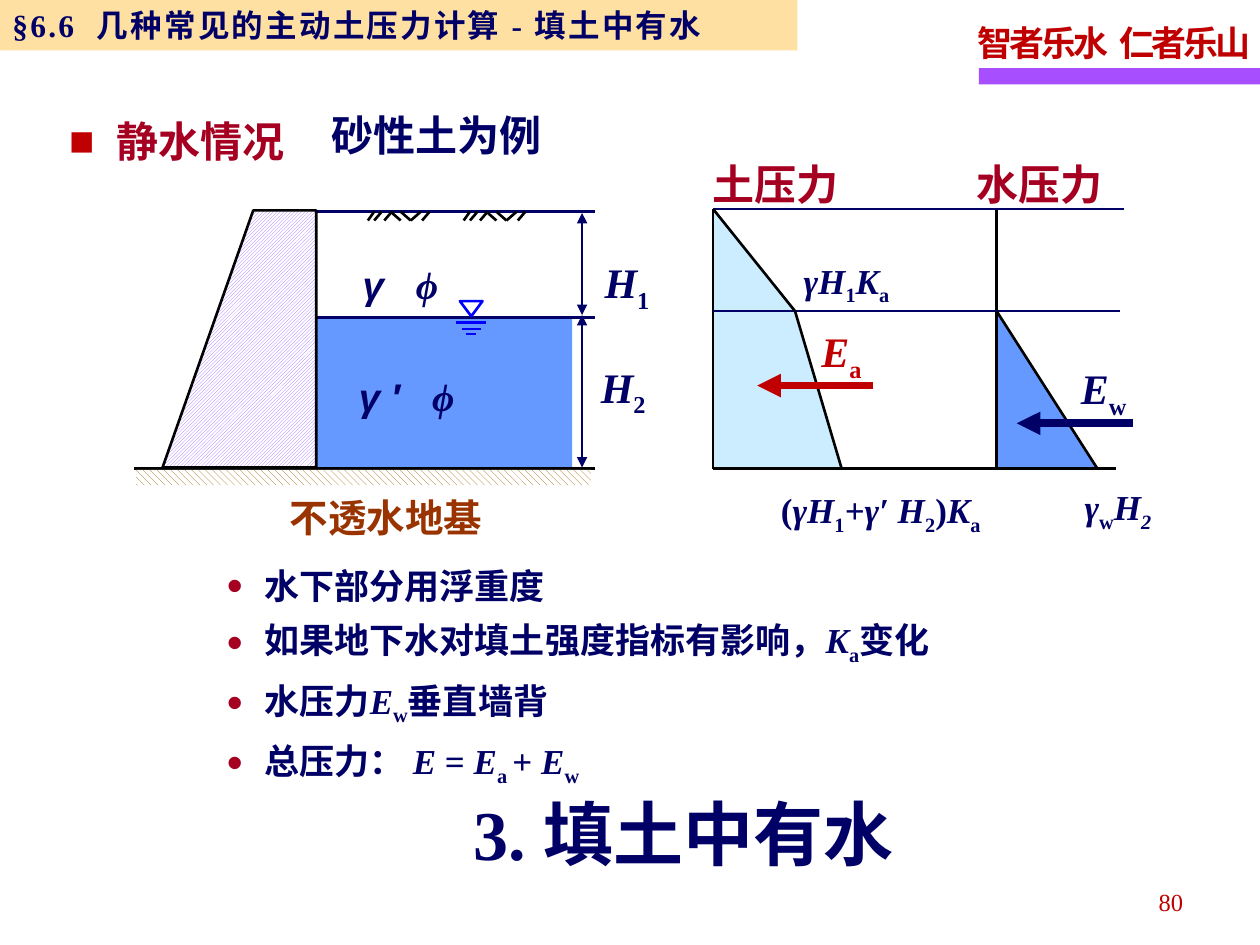
from lxml.etree import SubElement
from pptx import Presentation
from pptx.dml.color import RGBColor
from pptx.enum.dml import MSO_PATTERN as Pattern
from pptx.enum.shapes import MSO_CONNECTOR as Connector, MSO_SHAPE as Shape
from pptx.enum.text import MSO_ANCHOR as Anchor, MSO_AUTO_SIZE as AutoSize, PP_ALIGN as Align
from pptx.oxml.ns import qn
from pptx.util import Inches, Pt

NAVY = RGBColor(0x00, 0x00, 0x66)
CRIMSON = RGBColor(0xA5, 0x00, 0x21)
RED = RGBColor(0xC0, 0x00, 0x00)
BROWN = RGBColor(0x99, 0x33, 0x00)
OCHRE = RGBColor(0x99, 0x66, 0x00)
GOLD = RGBColor(0xFF, 0xCC, 0x66)
PURPLE = RGBColor(0xA7, 0x4F, 0xFF)
VIOLET = RGBColor(0x99, 0x66, 0xFF)
WATER = RGBColor(0x66, 0x99, 0xFF)
PALE = RGBColor(0xCC, 0xEC, 0xFF)
BLUE = RGBColor(0x00, 0x00, 0xFF)
BLACK = RGBColor(0x00, 0x00, 0x00)
WHITE = RGBColor(0xFF, 0xFF, 0xFF)

SERIF, HEI, SANS = "Times New Roman", "Noto Sans CJK SC", "Arial"
COLUMNS = 100


def write(frame, text, *, size=20, color=NAVY, font=SERIF, bold=True, align=Align.LEFT,
          leading=1.15, after=0, spacing=0, gap=0, bullet=None, hang=0,
          bullet_color=CRIMSON, bullet_size=100):
    """Lines become paragraphs, "|" parts runs.

    Prefixes: / italic, _ subscript, ~ serif, ^ letter spacing of gap points.
    """
    for index, line in enumerate(text.split("\n")):
        paragraph = frame.paragraphs[0] if index == 0 else frame.add_paragraph()
        props = paragraph._p.get_or_add_pPr()
        props.set("marL", str(Inches(hang)))
        props.set("indent", str(-Inches(hang)))
        if bullet:
            tint = SubElement(props, qn("a:buClr"))
            SubElement(tint, qn("a:srgbClr"), val=str(bullet_color))
            SubElement(props, qn("a:buSzPct"), val=str(bullet_size * 1000))
            SubElement(props, qn("a:buFont"), typeface=SANS)
            SubElement(props, qn("a:buChar"), char=bullet)
        else:
            SubElement(props, qn("a:buNone"))
        paragraph.alignment = align
        paragraph.line_spacing = leading
        paragraph.space_before, paragraph.space_after = Pt(0), Pt(after)
        for part in line.split("|"):
            words = part.lstrip("/_~^")
            marks = part[:len(part) - len(words)]
            run = paragraph.add_run()
            run.text = words
            run.font.size, run.font.bold, run.font.italic = Pt(size), bold, "/" in marks
            run.font.color.rgb = color
            run.font.name = SERIF if "~" in marks else font
            run_props = run._r.get_or_add_rPr()
            SubElement(run_props, qn("a:ea"), typeface=HEI)
            tracking = gap if "^" in marks else spacing
            if tracking:
                run_props.set("spc", str(round(tracking * 100)))
            if "_" in marks:
                run_props.set("baseline", "-25000")


class Board:
    """Current slide and its grid of 100 columns by 75 rows."""

    def __init__(self, deck):
        self.slide = deck.slides.add_slide(deck.slide_layouts[1])
        self.shapes = self.slide.shapes
        self.cell = deck.slide_width / COLUMNS

    def units(self, *cells):
        return [round(value * self.cell) for value in cells]

    def style(self, shape, fill=None, pattern=None, line=None, width=1.5):
        shape.shadow.inherit = False
        if pattern:
            shape.fill.patterned()
            shape.fill.pattern = pattern
            shape.fill.fore_color.rgb, shape.fill.back_color.rgb = fill, WHITE
        elif fill is not None:
            shape.fill.solid()
            shape.fill.fore_color.rgb = fill
        else:
            shape.fill.background()
        if line is not None:
            shape.line.color.rgb, shape.line.width = line, Pt(width)
        else:
            shape.line.fill.background()
        return shape

    def block(self, box, kind=Shape.RECTANGLE, **style):
        return self.style(self.shapes.add_shape(kind, *self.units(*box)), **style)

    def outline(self, points, close=True, **style):
        corners = [self.units(*point) for point in points]
        builder = self.shapes.build_freeform(*corners[0])
        builder.add_line_segments(corners[1:], close=close)
        return self.style(builder.convert_to_shape(), **style)

    def line(self, start, end, color=BLACK, width=1.5, head=False, tail=False):
        link = self.shapes.add_connector(Connector.STRAIGHT, *self.units(*start, *end))
        link.line.color.rgb, link.line.width = color, Pt(width)
        for tag, wanted in (("a:headEnd", head), ("a:tailEnd", tail)):
            if wanted:
                SubElement(link.line._get_or_add_ln(), qn(tag), type="triangle")
        SubElement(link._element.spPr, qn("a:effectLst"))

    def label(self, box, text, wrap=True, inset=True, **fmt):
        frame = self.shapes.add_textbox(*self.units(*box)).text_frame
        self.fit(frame, wrap, inset)
        write(frame, text, **fmt)

    def placeholder(self, index, box, text, anchor, inset=True, **fmt):
        holder = self.slide.placeholders[index]
        holder.left, holder.top, holder.width, holder.height = self.units(*box)
        self.fit(holder.text_frame, True, inset)
        holder.text_frame.vertical_anchor = anchor
        write(holder.text_frame, text, **fmt)

    def fit(self, frame, wrap, inset):
        frame.word_wrap, frame.auto_size = wrap, AutoSize.NONE
        if not inset:
            frame.margin_left = frame.margin_right = frame.margin_top = frame.margin_bottom = 0


def draw_header(board):
    board.block((77.7, 5.4, 22.3, 1.3), fill=PURPLE)
    board.label((76.6, 0.7, 23.4, 4.9), "智者乐水|^ |仁者乐山", wrap=False, color=RED,
                spacing=-1.7, gap=1.6)
    bar = board.block((0, 0, 63.3, 4), fill=GOLD)
    tint = bar.fill._xPr.find(qn("a:solidFill"))[0]
    SubElement(tint, qn("a:alpha"), val="60000")
    bar.text_frame.vertical_anchor = Anchor.MIDDLE
    write(bar.text_frame, "§6.6|^ |几种常见的主动土压力计算 - 填土中有水", size=18,
          leading=1, spacing=1.3, gap=7.1)
    board.label((71.6, 69.6, 23.3, 4), "80", size=14, color=RED, bold=False, align=Align.RIGHT)


def draw_text(board):
    board.placeholder(0, (18.9, 62.2, 70.7, 7.7), "3. 填土中有水", Anchor.MIDDLE,
                      size=40, leading=1, align=Align.CENTER)
    points = ("水下部分用浮重度\n"
              "如果地下水对填土强度指标有影响，|/K|_a|变化\n"
              "水压力|/E|_w|垂直墙背\n"
              "总压力： |/E |= |/E|_a |+ |/E|_w")
    board.placeholder(1, (18, 44.3, 70.4, 17), points, Anchor.TOP, inset=False,
                      after=3, bullet="•", bullet_size=130, hang=0.3)
    board.label((4.5, 6.7, 30.3, 6.9), "静水情况", size=24, font=HEI, color=CRIMSON,
                leading=1.5, bullet="■", bullet_color=RED, hang=0.38)
    board.label((25.3, 7.4, 20, 5.2), "砂性土为例", size=24, font=HEI, leading=1.2)


def draw_wall(board):
    top, table, base, right = 16.8, 25.2, 37.2, 47.2
    board.block((24.9, table, 20.5, base - table), fill=WATER)
    board.line((10.6, base), (right, base))
    for level in (top, table):
        board.line((24.9, level), (right, level), NAVY)
    board.outline([(12.9, 37.1), (25.1, 37.1), (25.1, 16.7), (20.1, 16.7)],
                  fill=VIOLET, pattern=Pattern.DARK_UPWARD_DIAGONAL, line=BLACK)
    board.block((10.8, 37.3, 36.1, 1.2), fill=OCHRE, pattern=Pattern.WIDE_DOWNWARD_DIAGONAL)

    # Ground strokes as (upper x, lower x) from the left of each group
    strokes = [(0.5, 0), (1.1, 0.5), (1.9, 1.3), (1.8, 2.6), (2.6, 3.4), (4.2, 3.4), (4.9, 4.3)]
    for left in (29.2, 36.8):
        for upper, lower in strokes:
            board.line((left + upper, top), (left + lower, 17.5))

    for start, end in ((16.9, 25), (25, 37.1)):
        board.line((46.2, start), (46.2, end), NAVY, 0.75, head=True, tail=True)

    mark = board.block((36.5, 23.9, 1.8, 1.2), Shape.ISOSCELES_TRIANGLE, line=BLUE)
    mark.rotation = 180
    for row, half in ((25.6, 1.2), (26.1, 0.75), (26.5, 0.4)):
        board.line((37.4 - half, row), (37.4 + half, row), BLUE)

    board.label((27.8, 19.7, 9.3, 4.4), "/γ|/^ |/~ϕ", size=22, font=SANS, gap=12.2)
    board.label((27.5, 28.6, 10.9, 5.3), "/γ ′|/^ |/~ϕ", size=22, font=SANS, gap=12.2)
    board.label((47, 19.2, 6, 4.7), "/H|_1", size=24)
    board.label((46.7, 27.5, 6, 4.7), "/H|_2", size=24)
    board.label((23, 38.7, 21.7, 3.3), "不透水地基", inset=False, size=22, font=HEI, color=BROWN)


def draw_pressures(board):
    soil, water, top, table, base = 56.6, 79.1, 16.6, 24.7, 37.2
    soil_edge = [(soil, top), (63.1, table), (66.8, base)]
    water_edge = [(water, table), (87.1, base)]
    board.outline([(soil, base)] + soil_edge, fill=PALE)
    board.outline([(water, base)] + water_edge, fill=WATER)
    for axis in (soil, water):
        board.line((axis, top), (axis, base))
    board.line((soil, base), (88.6, base))
    board.line((soil, top), (89.2, top), NAVY)
    board.line((soil, table), (88.9, table), NAVY)
    board.outline(soil_edge, close=False, line=BLACK)
    board.line(*water_edge)

    for box, heading in (((53.9, 11.5, 16.1, 5), "土压力 "), ((74.7, 11.5, 15.6, 5), "水压力")):
        board.label(box, heading, size=24, font=HEI, color=CRIMSON, align=Align.CENTER)
    board.label((62.8, 19.5, 11.9, 4.1), "/γH|_1|/K|_a")
    board.label((61, 37.7, 23, 4.6), "(|/γH|_1|/+γ′ H|_2|)|/K|_a")
    board.label((85.1, 37.5, 9.7, 4.9), "/γ|_w|/H|/_2")
    forces = [("/E|_a", RED, (64.2, 24.7), (69.3, 30.6)),
              ("/E|_w", NAVY, (84.8, 27.6), (89.9, 33.6))]
    for force, color, corner, (x, y) in forces:
        board.label((*corner, 8.4, 5.3), force, size=24, color=color)
        board.line((x, y), (x - 9.2, y), color, 4.5, tail=True)


def main():
    deck = Presentation()
    deck.slide_width, deck.slide_height = Inches(10), Inches(7.5)
    board = Board(deck)
    for draw in (draw_header, draw_text, draw_wall, draw_pressures):
        draw(board)
    deck.save("out.pptx")


if __name__ == "__main__":
    main()
